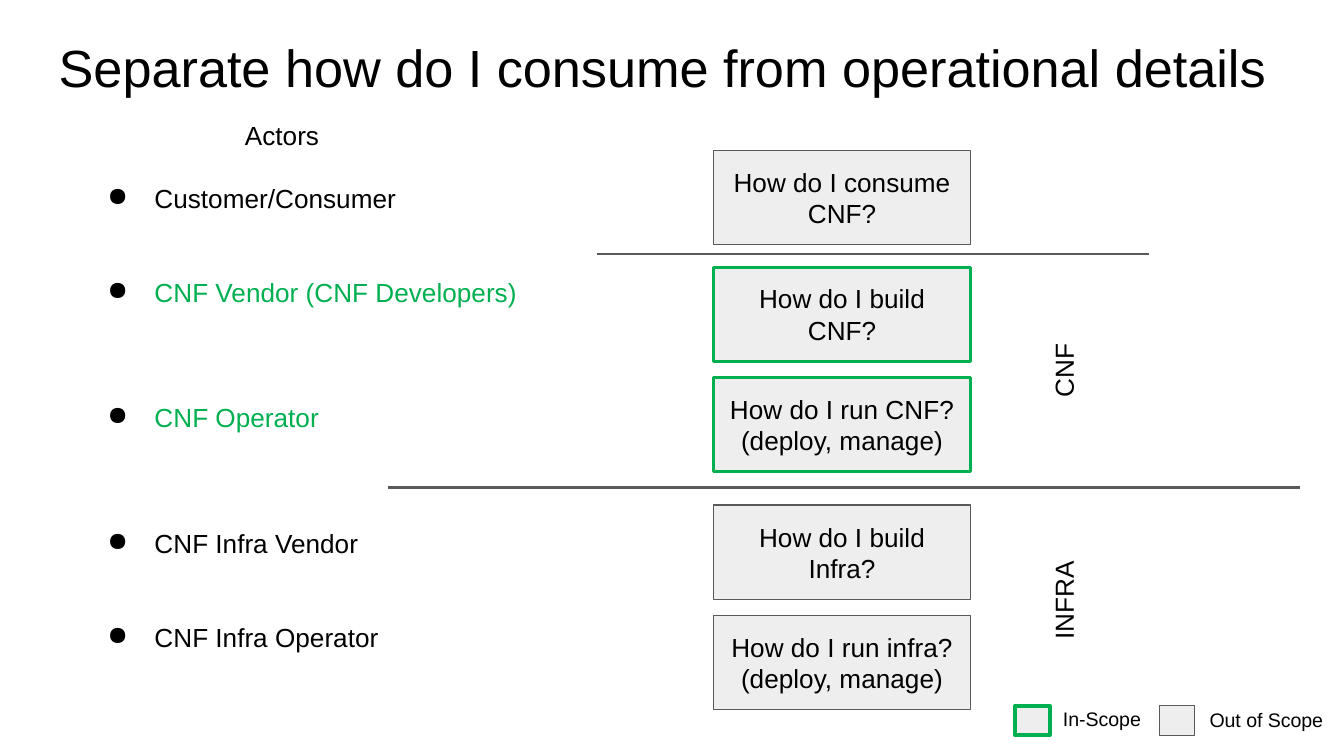
import dataclasses
import typing

import lxml.etree
import pptx
import pptx.dml.color
import pptx.enum.shapes
import pptx.enum.text
import pptx.oxml.ns
import pptx.util

Cm = pptx.util.Cm
Pt = pptx.util.Pt
ALIGN = pptx.enum.text.PP_ALIGN
ANCHOR = pptx.enum.text.MSO_ANCHOR


@dataclasses.dataclass(frozen=True)
class Theme:
    font: str = "Arial"
    ink: str = "000000"
    scope: str = "00B050"
    panel: str = "EEEEEE"
    rule: str = "595959"
    title: float = 28
    body: float = 14
    legend: float = 10.5
    leading: float = 1.2


@dataclasses.dataclass(frozen=True)
class Question:
    top: float
    lines: tuple[str, ...]
    in_scope: bool = False


@dataclasses.dataclass(frozen=True)
class Actor:
    name: str
    lines_before: int
    in_scope: bool = False


@dataclasses.dataclass(frozen=True)
class Divider:
    left: float
    right: float
    top: float
    weight: float


@dataclasses.dataclass(frozen=True)
class Label:
    text: str
    left: float
    top: float
    width: float
    height: float
    size: float
    rotation: float = 0


@dataclasses.dataclass(frozen=True)
class Key:
    left: float
    weight: float
    in_scope: bool


THEME = Theme()
INSET = 0.25

QUESTIONS = (
    Question(2.84, ("How do I consume CNF?",)),
    Question(5.05, ("How do I build CNF?",), True),
    Question(7.14, ("How do I run CNF?", "(deploy, manage)"), True),
    Question(9.55, ("How do I build Infra?",)),
    Question(11.63, ("How do I run infra?", "(deploy, manage)")),
)
ACTORS = (
    Actor("Customer/Consumer", 1),
    Actor("CNF Vendor (CNF Developers)", 2, True),
    Actor("CNF Operator", 3, True),
    Actor("CNF Infra Vendor", 3),
    Actor("CNF Infra Operator", 2),
)
DIVIDERS = (Divider(11.28, 21.72, 4.8, 0.75), Divider(7.34, 24.56, 9.22, 1.5))
LABELS = (
    Label("CNF", 19.33, 6.55, 1.55, 0.86, THEME.body, 270),
    Label("INFRA", 19.1, 10.9, 2.01, 0.86, THEME.body, 270),
    Label("In-Scope", 19.84, 13.23, 2.08, 0.74, THEME.legend),
    Label("Out of Scope", 22.61, 13.25, 2.69, 0.72, THEME.legend),
)
KEYS = (Key(19.18, 2, True), Key(21.92, 0.75, False))


def rgb(color: str) -> pptx.dml.color.RGBColor:
    return pptx.dml.color.RGBColor.from_string(color)


def write(frame: typing.Any, text: str, *, size: float = THEME.body,
          color: str = THEME.ink, align: ALIGN = ALIGN.LEFT,
          lines_before: int = 0, indent: float = 0,
          bullet: bool = False) -> None:
    para = frame.paragraphs[0]
    if para.runs:
        para = frame.add_paragraph()
    leading = size * THEME.leading
    para.alignment = align
    para.line_spacing = Pt(leading)
    para.space_before = Pt(leading * lines_before)
    span = para.add_run()
    span.text = text
    span.font.name = THEME.font
    span.font.size = Pt(size)
    span.font.color.rgb = rgb(color)
    properties = para._p.get_or_add_pPr()
    properties.set("marL", str(Cm(indent)))
    if bullet:
        properties.set("indent", str(-Cm(0.89)))
        tint = lxml.etree.SubElement(properties, pptx.oxml.ns.qn("a:buClr"))
        lxml.etree.SubElement(tint, pptx.oxml.ns.qn("a:srgbClr"), val=THEME.ink)
        lxml.etree.SubElement(properties, pptx.oxml.ns.qn("a:buChar"), char="●")


def set_insets(frame: typing.Any) -> None:
    frame.word_wrap = True
    frame.margin_left = frame.margin_right = Cm(INSET)
    frame.margin_top = frame.margin_bottom = Cm(INSET)


def add_text_box(page: typing.Any, left: float, top: float,
                 width: float, height: float) -> typing.Any:
    return page.shapes.add_textbox(Cm(left), Cm(top), Cm(width), Cm(height))


def add_panel(page: typing.Any, left: float, top: float, width: float,
              height: float, in_scope: bool, weight: float) -> typing.Any:
    box = page.shapes.add_shape(pptx.enum.shapes.MSO_SHAPE.RECTANGLE,
                                Cm(left), Cm(top), Cm(width), Cm(height))
    box.shadow.inherit = False
    box.fill.solid()
    box.fill.fore_color.rgb = rgb(THEME.panel)
    box.line.color.rgb = rgb(THEME.scope if in_scope else THEME.rule)
    box.line.width = Pt(weight)
    return box


def add_question(page: typing.Any, question: Question) -> None:
    weight = 1.5 if question.in_scope else 0.75
    box = add_panel(page, 13.49, question.top, 4.85, 1.78,
                    question.in_scope, weight)
    set_insets(box.text_frame)
    box.text_frame.vertical_anchor = ANCHOR.MIDDLE
    for line in question.lines:
        write(box.text_frame, line, align=ALIGN.CENTER)


def add_divider(page: typing.Any, divider: Divider) -> None:
    line = page.shapes.add_connector(
        pptx.enum.shapes.MSO_CONNECTOR.STRAIGHT, Cm(divider.left),
        Cm(divider.top), Cm(divider.right), Cm(divider.top))
    line.line.color.rgb = rgb(THEME.rule)
    line.line.width = Pt(divider.weight)
    lxml.etree.SubElement(line._element.spPr, pptx.oxml.ns.qn("a:effectLst"))


def add_label(page: typing.Any, label: Label) -> None:
    box = add_text_box(page, label.left, label.top, label.width, label.height)
    box.rotation = label.rotation
    box.text_frame.word_wrap = False
    write(box.text_frame, label.text, size=label.size)


def add_actors(page: typing.Any) -> None:
    frame = add_text_box(page, 1.4, 2.01, 9.22, 8.76).text_frame
    set_insets(frame)
    write(frame, "Actors", indent=2.98)
    for actor in ACTORS:
        write(frame, actor.name, lines_before=actor.lines_before,
              color=THEME.scope if actor.in_scope else THEME.ink,
              indent=1.27, bullet=True)


def main() -> None:
    deck = pptx.Presentation()
    deck.slide_width, deck.slide_height = Cm(25.4), Cm(14.29)
    page = deck.slides.add_slide(deck.slide_layouts[6])
    title = add_text_box(page, 0.86, 0.41, 23.67, 1.6).text_frame
    set_insets(title)
    write(title, "Separate how do I consume from operational details",
          size=THEME.title)
    add_actors(page)
    for question in QUESTIONS:
        add_question(page, question)
    for divider in DIVIDERS:
        add_divider(page, divider)
    for key in KEYS:
        add_panel(page, key.left, 13.34, 0.66, 0.56, key.in_scope, key.weight)
    for label in LABELS:
        add_label(page, label)
    deck.save("out.pptx")


main()
